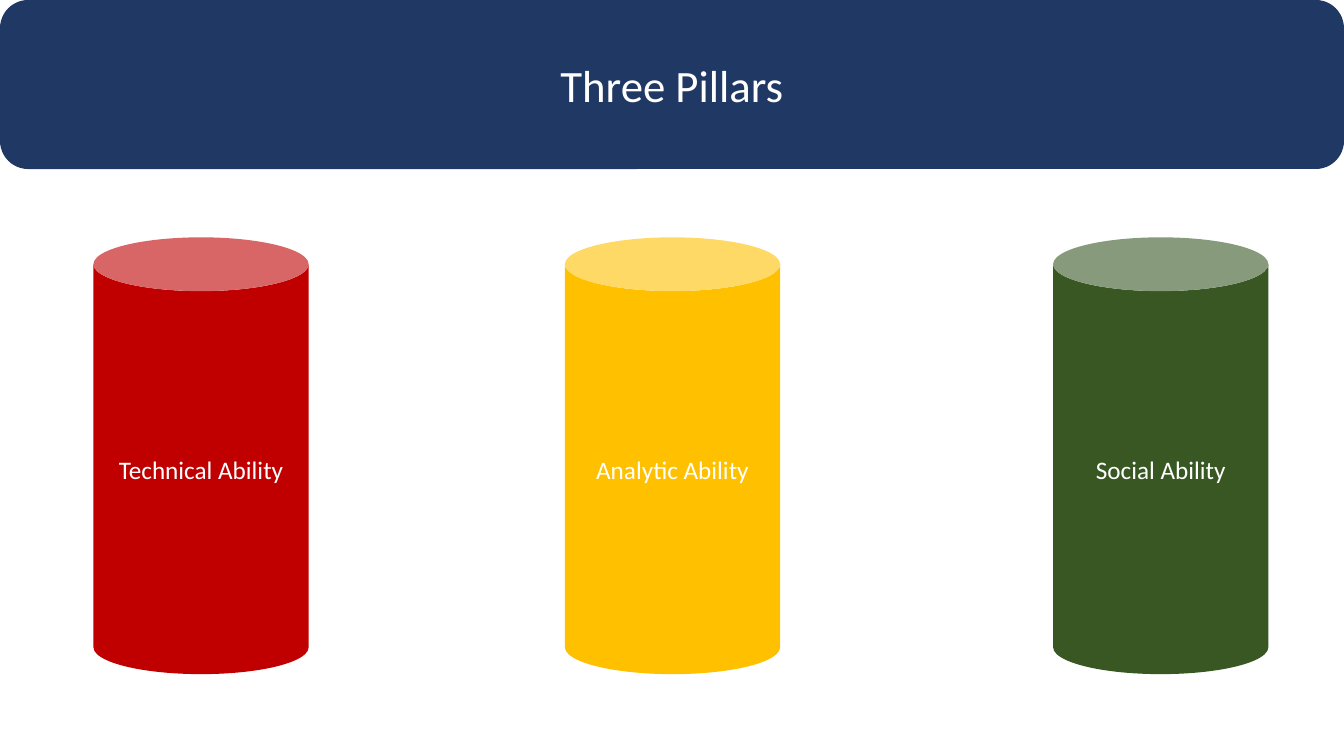
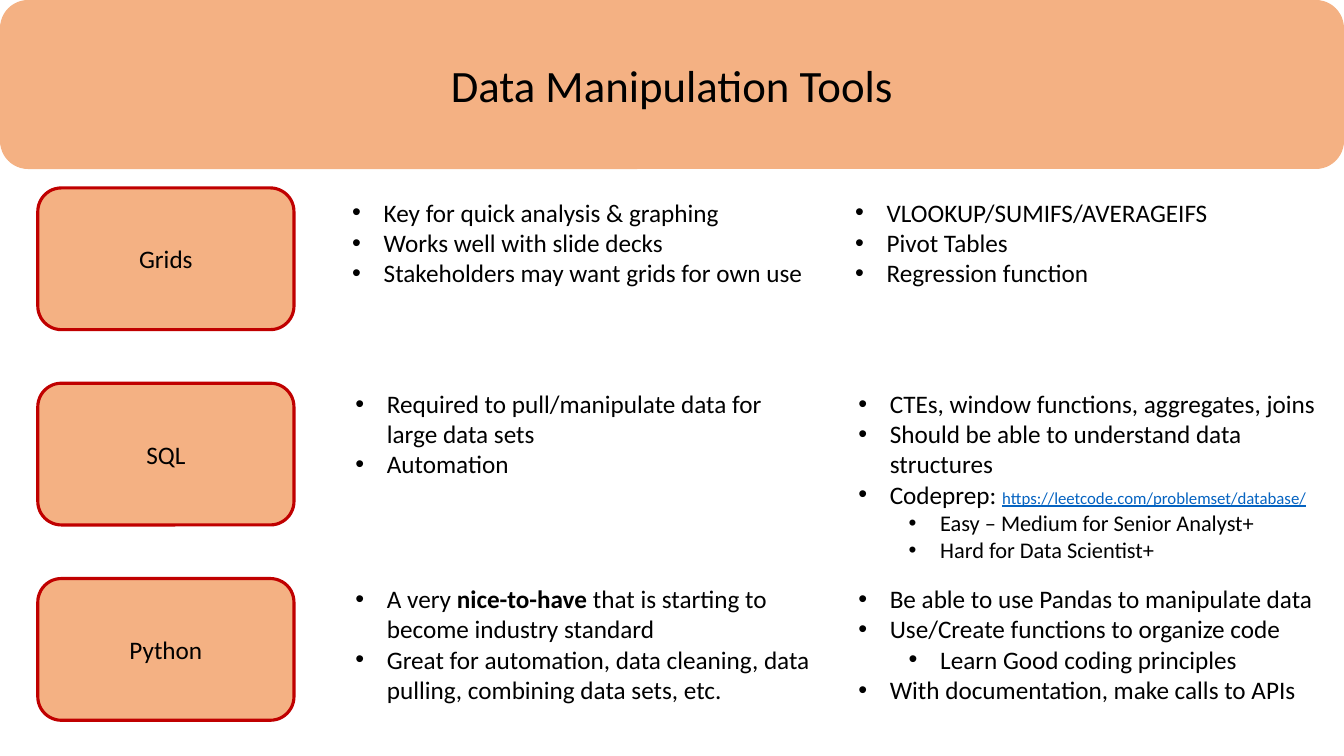
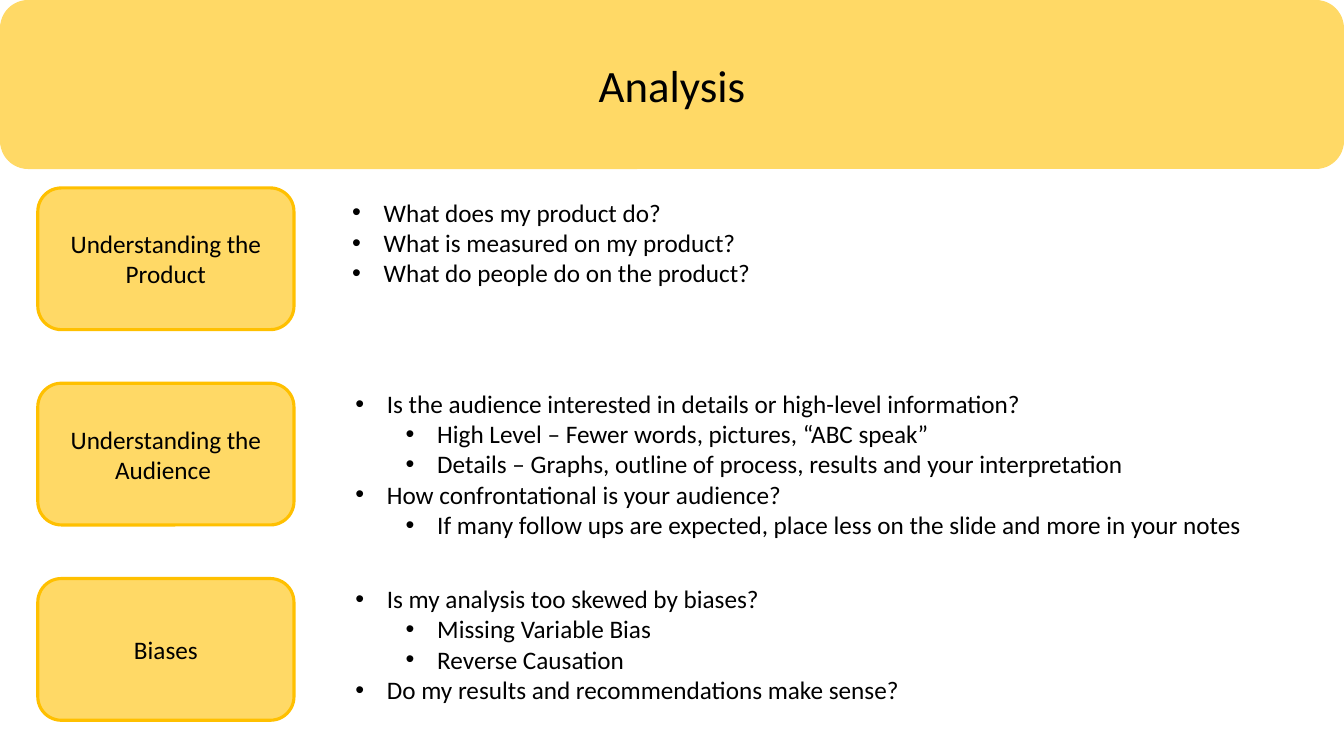
from dataclasses import dataclass

from lxml.etree import SubElement
from pptx import Presentation
from pptx.dml.color import RGBColor as RGB
from pptx.enum.shapes import MSO_SHAPE as Shape
from pptx.enum.text import MSO_ANCHOR as Anchor
from pptx.enum.text import MSO_AUTO_SIZE as AutoSize
from pptx.enum.text import PP_ALIGN as Align
from pptx.oxml.ns import qn
from pptx.util import Pt

EMU_PER_PX = 9525  # 96 px to the inch


def px(length):
    return length * EMU_PER_PX


@dataclass(frozen=True)
class Theme:
    font: str = "Calibri"
    # Type sizes and line width in points
    title: int = 32
    body: int = 18
    detail: int = 16
    url: int = 12
    outline: float = 2.25
    # Colours
    white: RGB = RGB(0xFF, 0xFF, 0xFF)
    black: RGB = RGB(0x00, 0x00, 0x00)
    navy: RGB = RGB(0x20, 0x38, 0x64)
    red: RGB = RGB(0xC0, 0x00, 0x00)
    gold: RGB = RGB(0xFF, 0xC0, 0x00)
    green: RGB = RGB(0x38, 0x57, 0x23)
    orange: RGB = RGB(0xF4, 0xB1, 0x83)
    yellow: RGB = RGB(0xFF, 0xD9, 0x66)
    link: RGB = RGB(0x05, 0x63, 0xC1)


THEME = Theme()


@dataclass(frozen=True)
class Point:
    """One bullet: text with an optional bold middle, ending or web address."""
    text: str
    level: int = 0
    size: int = THEME.body
    bold: str = ""
    ending: str = ""
    url: str = ""


class Deck:
    WIDTH, HEIGHT = 1280, 720
    BAND_HEIGHT = 161
    PILLAR_TOP, PILLAR_WIDTH, PILLAR_HEIGHT = 226, 205, 416
    CARD_LEFT, CARD_TOP, CARD_WIDTH, CARD_HEIGHT = 36, 179, 244, 135
    ROW_PITCH = 186
    LIST_LEFT, LIST_RIGHT, LIST_GAP = 329, 1265, 22
    LINE_HEIGHT, LIST_PADDING = 29, 10
    HANG, LEVEL_STEP = 30, 48

    def __init__(self, theme):
        self.theme = theme
        self.file = Presentation()
        self.file.slide_width = px(self.WIDTH)
        self.file.slide_height = px(self.HEIGHT)
        self.slide = None

    def start(self, title, fill, ink):
        """Add a slide with its title band."""
        self.slide = self.file.slides.add_slide(self.file.slide_layouts[6])
        self.block(Shape.ROUNDED_RECTANGLE, (0, 0, self.WIDTH, self.BAND_HEIGHT),
                   title, fill, ink, size=self.theme.title)

    def style(self, paragraph, size, ink):
        font = paragraph.font
        font.name, font.size = self.theme.font, Pt(size)
        font.color.rgb = ink

    def block(self, kind, box, label, fill, ink, size=None, outline=None):
        """Draw a filled shape with a centred label."""
        block = self.slide.shapes.add_shape(kind, *map(px, box))
        block.shadow.inherit = False
        block.fill.solid()
        block.fill.fore_color.rgb = fill
        if outline is None:
            block.line.fill.background()
        else:
            block.line.color.rgb = outline
            block.line.width = Pt(self.theme.outline)
        frame = block.text_frame
        frame.word_wrap = True
        frame.vertical_anchor = Anchor.MIDDLE
        caption = frame.paragraphs[0]
        caption.text = label
        caption.alignment = Align.CENTER
        self.style(caption, size or self.theme.body, ink)

    def pillar(self, left, label, fill):
        box = (left, self.PILLAR_TOP, self.PILLAR_WIDTH, self.PILLAR_HEIGHT)
        self.block(Shape.CAN, box, label, fill, self.theme.white)

    def card(self, row, label, fill, outline):
        box = (self.CARD_LEFT, self.CARD_TOP + row * self.ROW_PITCH,
               self.CARD_WIDTH, self.CARD_HEIGHT)
        self.block(Shape.ROUNDED_RECTANGLE, box, label, fill,
                   self.theme.black, outline=outline)

    def bullets(self, box, points):
        frame = self.slide.shapes.add_textbox(*map(px, box)).text_frame
        frame.word_wrap = True
        frame.auto_size = AutoSize.SHAPE_TO_FIT_TEXT
        for index, point in enumerate(points):
            paragraph = frame.add_paragraph() if index else frame.paragraphs[0]
            self.bullet(paragraph, point)

    def bullet(self, paragraph, point):
        paragraph.level = point.level
        props = paragraph._p.get_or_add_pPr()
        props.set("marL", str(px(self.HANG + point.level * self.LEVEL_STEP)))
        props.set("indent", str(px(-self.HANG)))
        SubElement(props, qn("a:buFont"), typeface="Arial")
        SubElement(props, qn("a:buChar"), char="•")
        self.style(paragraph, point.size, self.theme.black)
        paragraph.add_run().text = point.text
        if point.bold:
            stress = paragraph.add_run()
            stress.text = point.bold
            stress.font.bold = True
        if point.ending:
            paragraph.add_run().text = point.ending
        if point.url:
            address = paragraph.add_run()
            address.text = point.url
            address.font.size = Pt(self.theme.url)
            address.font.color.rgb = self.theme.link
            address.font.underline = True

    def topics(self, rows, fill, outline):
        """Draw one card a row, with its bullet lists in equal columns."""
        for row, (label, *columns) in enumerate(rows):
            self.card(row, label, fill, outline)
            # The first row sits a little lower and further left
            left, top = self.LIST_LEFT, self.CARD_TOP + row * self.ROW_PITCH
            if row == 0:
                left, top = left - 3, top + 4
            span = self.LIST_RIGHT - self.LIST_LEFT + self.LIST_GAP
            if len(columns) == 1:
                span -= 12
            pitch = span // len(columns)
            for column, (lines, points) in enumerate(columns):
                height = self.LIST_PADDING + lines * self.LINE_HEIGHT
                self.bullets((left + column * pitch, top,
                              pitch - self.LIST_GAP, height), points)


# Pillars: left edge, label, colour
PILLARS = [
    (89, "Technical Ability", THEME.red),
    (538, "Analytic Ability", THEME.gold),
    (1003, "Social Ability", THEME.green),
]

# Topics: card label, then for each column the lines it fills and its points
TOOLS = [
    ("Grids",
     (3, [Point("Key for quick analysis & graphing"),
          Point("Works well with slide decks"),
          Point("Stakeholders may want grids for own use")]),
     (3, [Point("VLOOKUP/SUMIFS/AVERAGEIFS"),
          Point("Pivot Tables"),
          Point("Regression function")])),
    ("SQL",
     (3, [Point("Required to pull/manipulate data for large data sets"),
          Point("Automation")]),
     (6, [Point("CTEs, window functions, aggregates, joins"),
          Point("Should be able to understand data structures"),
          Point("Codeprep: ", url="https://leetcode.com/problemset/database/"),
          Point("Easy – Medium for Senior Analyst+", 1, THEME.detail),
          Point("Hard for Data Scientist+", 1, THEME.detail)])),
    ("Python",
     (4, [Point("A very ", bold="nice-to-have",
                ending=" that is starting to become industry standard"),
          Point("Great for automation, data cleaning, data pulling, "
                "combining data sets, etc.")]),
     (4, [Point("Be able to use Pandas to manipulate data"),
          Point("Use/Create functions to organize code"),
          Point("Learn Good coding principles", 1),
          Point("With documentation, make calls to APIs")])),
]

ANALYSIS = [
    ("Understanding the Product",
     (3, [Point("What does my product do?"),
          Point("What is measured on my product?"),
          Point("What do people do on the product?")])),
    ("Understanding the Audience ",
     (5, [Point("Is the audience interested in details or high-level information?"),
          Point("High Level – Fewer words, pictures, “ABC speak”", 1),
          Point("Details – Graphs, outline of process, results "
                "and your interpretation", 1),
          Point("How confrontational is your audience?"),
          Point("If many follow ups are expected, place less on the slide "
                "and more in your notes", 1)])),
    ("Biases",
     (4, [Point("Is my analysis too skewed by biases?"),
          Point("Missing Variable Bias", 1),
          Point("Reverse Causation", 1),
          Point("Do my results and recommendations make sense?")])),
]


def main():
    deck = Deck(THEME)

    # Three pillars
    deck.start("Three Pillars", THEME.navy, THEME.white)
    for left, label, fill in PILLARS:
        deck.pillar(left, label, fill)

    # Tools
    deck.start("Data Manipulation Tools", THEME.orange, THEME.black)
    deck.topics(TOOLS, THEME.orange, THEME.red)

    # Analysis
    deck.start("Analysis", THEME.yellow, THEME.black)
    deck.topics(ANALYSIS, THEME.yellow, THEME.gold)

    deck.file.save("out.pptx")


if __name__ == "__main__":
    main()
